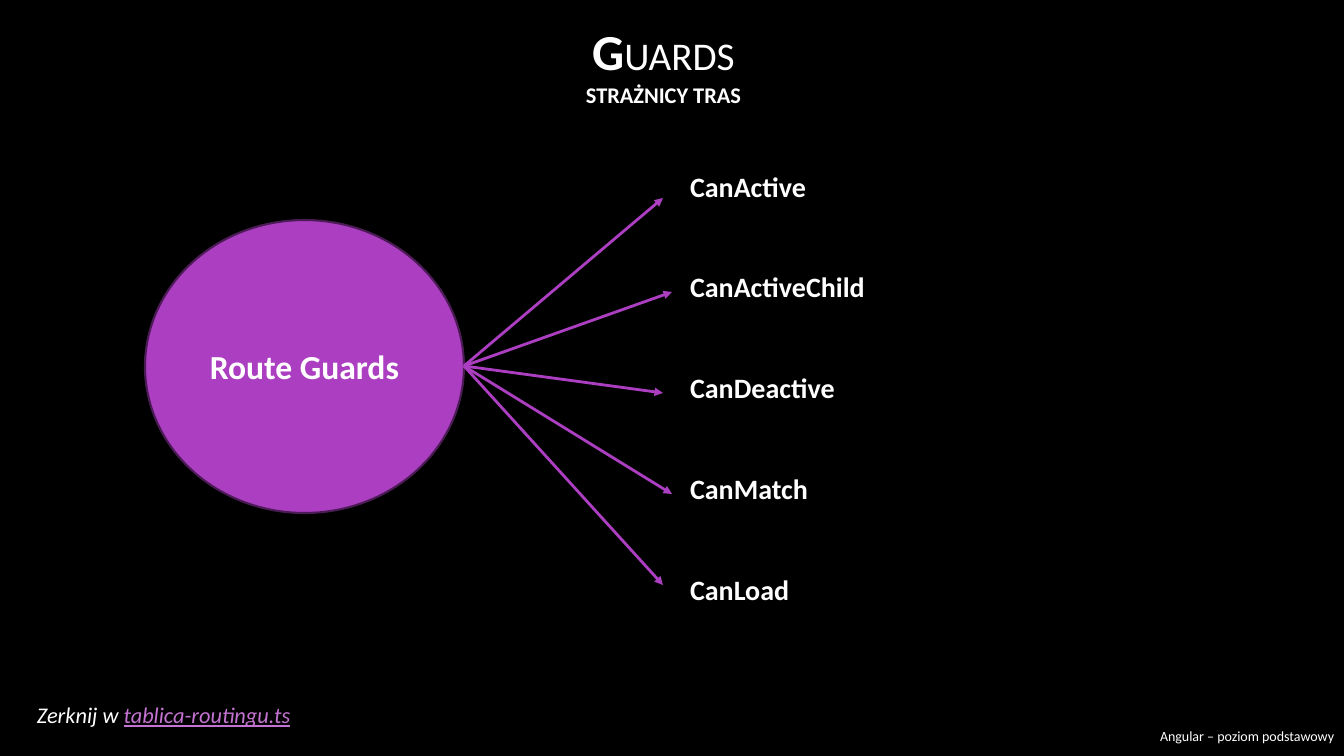
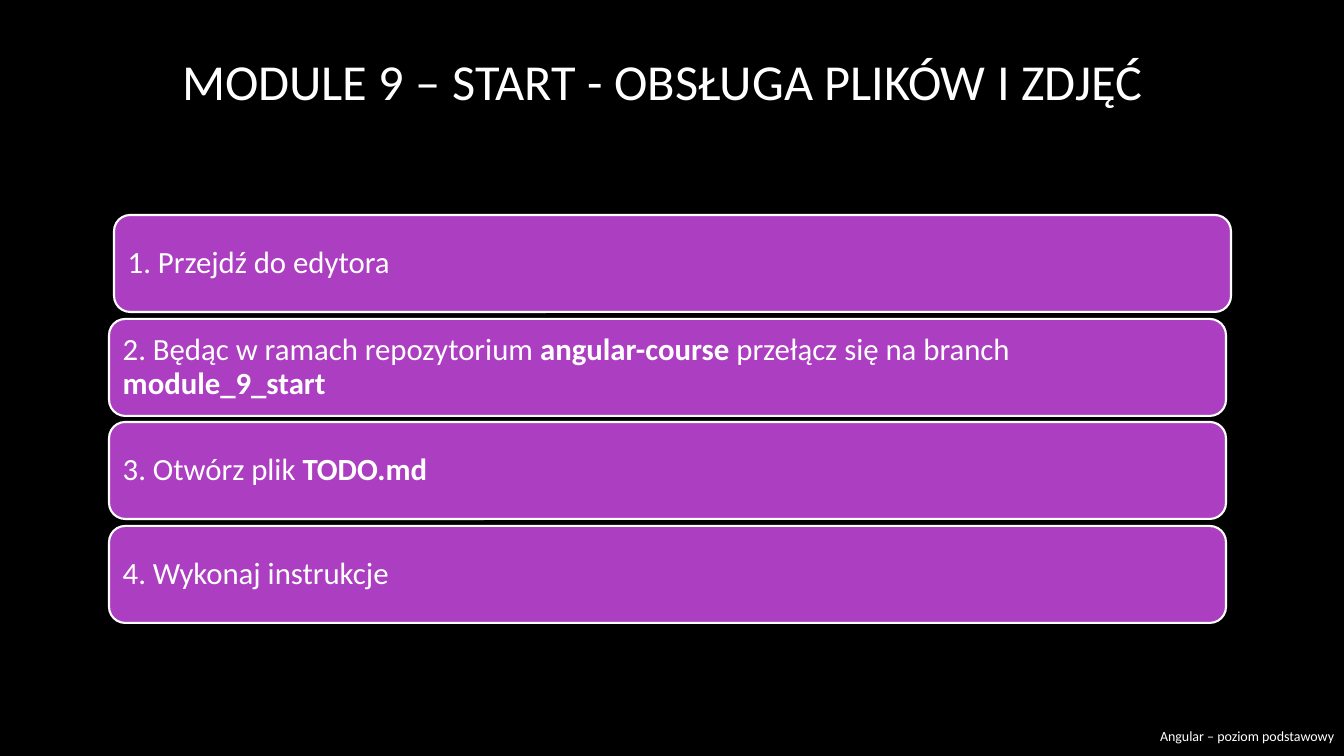
import pptx
import pptx.util
import pptx.dml.color
import pptx.enum.shapes
import pptx.enum.text
import pptx.oxml
from dataclasses import dataclass

SCALE = 12192000 / 1344  # EMU in one px
WIDE, HIGH = 1344, 756

FOOTER = "Angular – poziom podstawowy"
GUARDS_TITLE = [
    [("G", dict(size=36, bold=True)), ("UARDS", dict(size=28))],
    [("STRAŻNICY TRAS", dict(size=16, bold=True))],
]
HUB = "Route Guards"
GUARDS = [  # name, arrow tip
    ("CanActive", (663, 198)),
    ("CanActiveChild", (672, 292)),
    ("CanDeactive", (663, 393)),
    ("CanMatch", (672, 494)),
    ("CanLoad", (663, 585)),
]
START_TITLE = "MODULE 9 – START - OBSŁUGA PLIKÓW I ZDJĘĆ"
BOLD = dict(bold=True)
STEPS = [  # left edge, runs
    (114, ["1. Przejdź do edytora"]),
    (109, ["2. Będąc w ramach repozytorium ", ("angular-course", BOLD),
           " przełącz się na branch ", ("module_9_start", BOLD)]),
    (109, ["3. Otwórz plik ", ("TODO.md", BOLD)]),
    (109, ["4. Wykonaj instrukcje"]),
]


@dataclass(frozen=True)
class Theme:
    font: str = "Calibri"
    back: str = "000000"
    text: str = "FFFFFF"
    fill: str = "AC3EC1"
    edge: str = "4B1B55"
    link: str = "C573D2"
    title: int = 36
    hub: int = 24
    step: int = 22
    guard: int = 20
    note: int = 16
    foot: int = 10


THEME = Theme()
NOTE = ["Zerknij w ",
        ("tablica-routingu.ts", dict(color=THEME.link, underline=True))]

ALIGN = pptx.enum.text.PP_ALIGN
ANCHOR = pptx.enum.text.MSO_ANCHOR
SHAPE = pptx.enum.shapes.MSO_SHAPE
LINE = pptx.enum.shapes.MSO_CONNECTOR.STRAIGHT


def px(num):
    return pptx.util.Emu(round(num * SCALE))


def rgb(code):
    return pptx.dml.color.RGBColor.from_string(code)


def style(run, size, color=THEME.text, bold=False, italic=False,
          underline=False):
    font = run.font
    font.name, font.size = THEME.font, pptx.util.Pt(size)
    font.bold, font.italic, font.underline = bold, italic, underline
    font.color.rgb = rgb(color)


def write(shape, text, align=ALIGN.LEFT, anchor=ANCHOR.TOP, gap=0,
          spacing=1.0, inset=None, **look):
    """Fill a shape from a string or a list of paragraphs, each a list of runs.

    A run is a string or a pair of string and format; gap is in points.
    """
    frame = shape.text_frame
    frame.word_wrap = True
    frame.auto_size = pptx.enum.text.MSO_AUTO_SIZE.NONE
    frame.vertical_anchor = anchor
    if inset is not None:
        frame.margin_left = frame.margin_right = px(inset)
        frame.margin_top = frame.margin_bottom = px(inset)
    paras = [[text]] if isinstance(text, str) else text
    for num, runs in enumerate(paras):
        para = frame.add_paragraph() if num else frame.paragraphs[0]
        para.alignment, para.line_spacing = align, spacing
        para.space_before = pptx.util.Pt(gap if num else 0)
        para.space_after = pptx.util.Pt(0)
        for item in runs:
            words, extra = (item, {}) if isinstance(item, str) else item
            run = para.add_run()
            run.text = words
            style(run, **{**look, **extra})


def place(shape, left, top, width, height):
    shape.left, shape.top = px(left), px(top)
    shape.width, shape.height = px(width), px(height)
    return shape


def add_text(slide, box, text, **look):
    write(slide.shapes.add_textbox(*map(px, box)), text, **look)


def add_block(slide, kind, box, edge, text, **look):
    shape = slide.shapes.add_shape(kind, *map(px, box))
    shape.shadow.inherit = False
    shape.fill.solid()
    shape.fill.fore_color.rgb = rgb(THEME.fill)
    shape.line.color.rgb = rgb(edge)
    shape.line.width = pptx.util.Pt(1.5)
    write(shape, text, anchor=ANCHOR.MIDDLE, **look)


def add_arrow(slide, start, tip):
    arrow = slide.shapes.add_connector(LINE, *map(px, start + tip))
    arrow.line.color.rgb = rgb(THEME.fill)
    arrow.line.width = pptx.util.Pt(2)
    space = pptx.oxml.ns.nsdecls("a")
    head = pptx.oxml.parse_xml(f'<a:tailEnd {space} type="triangle"/>')
    arrow.line._get_or_add_ln().append(head)
    arrow._element.spPr.append(pptx.oxml.parse_xml(f"<a:effectLst {space}/>"))


def clear_bullets(shape):
    for para in shape.text_frame.paragraphs:
        props = para._p.get_or_add_pPr()
        props.set("marL", "0")
        props.set("indent", "0")
        none = pptx.oxml.parse_xml(
            f'<a:buNone {pptx.oxml.ns.nsdecls("a")}/>')
        props.append(none)


def add_slide(deck, layout, title, box):
    slide = deck.slides.add_slide(deck.slide_layouts[layout])
    write(place(slide.shapes.title, *box), title, size=THEME.title,
          align=ALIGN.CENTER, anchor=ANCHOR.MIDDLE)
    add_text(slide, (1136, 715, 208, 41), FOOTER, size=THEME.foot,
             align=ALIGN.RIGHT, anchor=ANCHOR.MIDDLE)
    return slide


def guards_slide(deck):
    slide = add_slide(deck, 1, GUARDS_TITLE, (105, -1, 1117, 130))
    names = place(slide.placeholders[1], 680, 164, 300, 452)
    write(names, [[name] for name, tip in GUARDS], gap=48,
          size=THEME.guard, bold=True)
    clear_bullets(names)
    left, top, width, height = hub = (145, 220, 319, 293)
    add_block(slide, SHAPE.OVAL, hub, THEME.edge, HUB, size=THEME.hub,
              bold=True, align=ALIGN.CENTER)
    for name, tip in GUARDS:
        add_arrow(slide, (left + width, top + height // 2), tip)
    add_text(slide, (27, 696, 300, 37), [NOTE], size=THEME.note, italic=True)


def start_slide(deck):
    slide = add_slide(deck, 5, START_TITLE, (104, 0, 1117, 160))
    first, last = 215, 526
    pitch = (last - first) / (len(STEPS) - 1)
    for num, (left, runs) in enumerate(STEPS):
        box = (left, round(first + num * pitch), 1117, 97)
        add_block(slide, SHAPE.ROUNDED_RECTANGLE, box, THEME.text, [runs],
                  size=THEME.step, spacing=0.9, inset=9)


def main():
    deck = pptx.Presentation()
    deck.slide_width, deck.slide_height = px(WIDE), px(HIGH)
    back = deck.slide_master.background.fill
    back.solid()
    back.fore_color.rgb = rgb(THEME.back)
    guards_slide(deck)
    start_slide(deck)
    deck.save("out.pptx")


if __name__ == "__main__":
    main()
